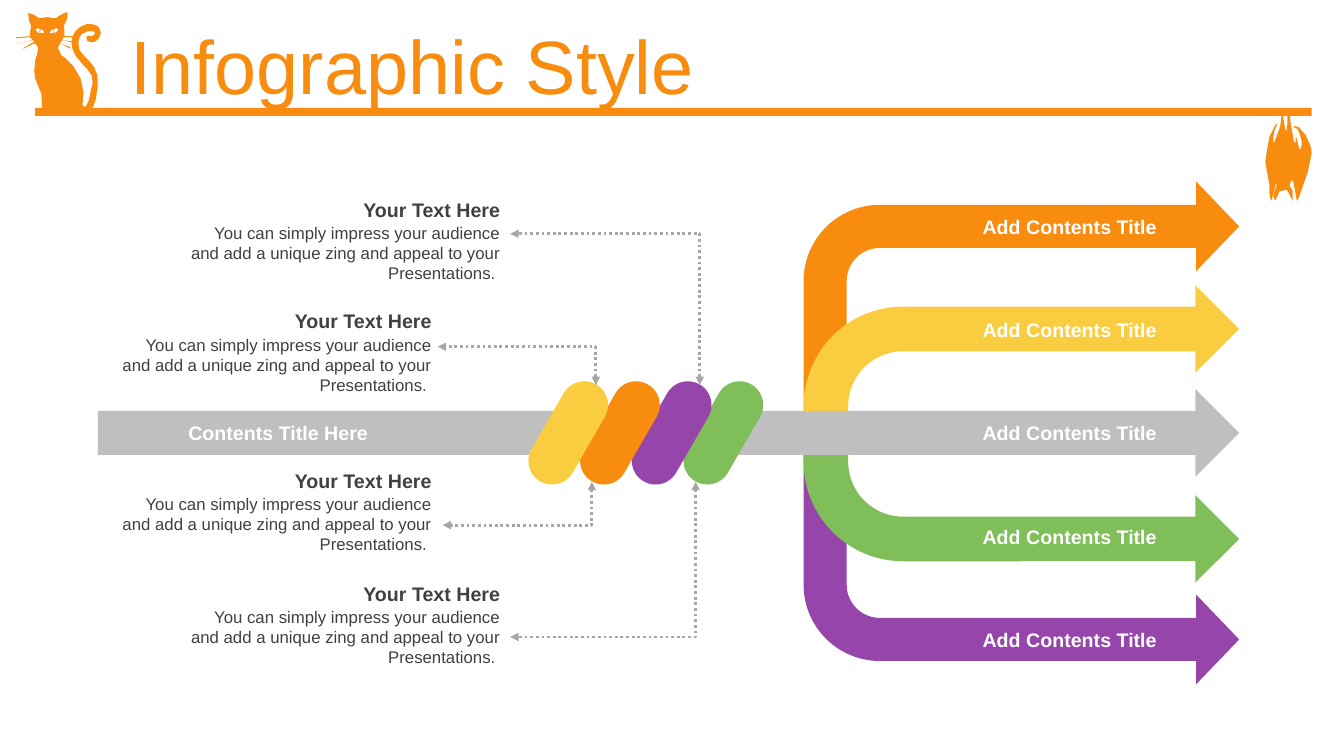
"""Build an infographic slide of branching arrows, linked pills and captions."""
from lxml import etree
from pptx import Presentation, util as u
from pptx.dml.color import RGBColor
from pptx.enum import dml, shapes, text
from pptx.oxml.ns import qn

ORANGE = RGBColor(0xF7, 0x8C, 0x0E)
YELLOW = RGBColor(0xF9, 0xCD, 0x3F)
GREEN = RGBColor(0x80, 0xBE, 0x5A)
PURPLE = RGBColor(0x96, 0x46, 0xAA)
SILVER = RGBColor(0xBF, 0xBF, 0xBF)
GRAY = RGBColor(0xA6, 0xA6, 0xA6)
DARK = RGBColor(0x40, 0x40, 0x40)
WHITE = RGBColor(0xFF, 0xFF, 0xFF)

CAT_BODY = [
    (62, 40), (60, 42), (60, 43), (70, 47), (70, 48), (69, 48), (60, 43), (58, 46),
    (58, 49), (61, 55), (64, 57), (73, 66), (80, 78), (83, 92), (82, 102), (82, 105),
    (85, 106), (86, 104), (88, 100), (92, 82), (91, 75), (87, 69), (83, 65), (75, 55),
    (72, 49), (71, 43), (71, 42)]
CAT_COLLAR = [(64, 37), (63, 37), (62, 39), (62, 40), (71, 41), (72, 37)]
CAT_LEFT_EYE = [(38, 28), (35, 29), (37, 32), (40, 33), (39, 31), (40, 29), (40, 33),
                (44, 33), (43, 30), (40, 29)]
CAT_RIGHT_EYE = [(56, 28), (53, 29), (50, 31), (49, 33), (53, 33), (53, 29), (54, 33),
                 (57, 31), (58, 29)]
CAT_OUTLINE = [
    (66, 12), (67, 13), (67, 18), (65, 22), (63, 26), (64, 29), (64, 36), (71, 36),
    (72, 36), (75, 31), (78, 28), (81, 26), (86, 24), (91, 24), (95, 25), (97, 26),
    (99, 29), (100, 33), (98, 38), (95, 41), (92, 42), (87, 41), (86, 39), (86, 36),
    (88, 36), (90, 36), (93, 35), (94, 34), (94, 32), (92, 31), (87, 31), (81, 34),
    (79, 37), (78, 40), (78, 45), (79, 50), (84, 56), (89, 61), (93, 66), (96, 73),
    (97, 79), (97, 86), (95, 99), (92, 107), (89, 111), (86, 113), (73, 115), (57, 115),
    (40, 114), (37, 112), (38, 109), (40, 108), (42, 107), (41, 93), (39, 88), (35, 78),
    (34, 70), (35, 60), (37, 53), (38, 48), (36, 44), (34, 43), (24, 48), (23, 48),
    (33, 42), (34, 41), (33, 40), (32, 40), (17, 43), (31, 40), (32, 39), (30, 37),
    (16, 38), (16, 37), (30, 36), (30, 31), (31, 26), (29, 21), (28, 13), (32, 14),
    (39, 18), (41, 18), (47, 17), (53, 18), (56, 18), (58, 16)]
BAT = [
    (1263, 142), (1264, 141), (1269, 128), (1270, 124), (1271, 115), (1271, 109),
    (1271, 108), (1274, 110), (1273, 111), (1273, 118), (1275, 129), (1276, 130),
    (1277, 122), (1277, 113), (1276, 108), (1278, 107), (1279, 110), (1280, 121),
    (1283, 138), (1284, 142), (1285, 141), (1285, 136), (1286, 137), (1288, 145),
    (1289, 148), (1290, 148), (1291, 144), (1291, 139), (1289, 133), (1287, 128),
    (1283, 126), (1283, 125), (1288, 126), (1295, 134), (1300, 145), (1301, 152),
    (1297, 171), (1289, 194), (1287, 199), (1286, 198), (1285, 192), (1283, 181),
    (1281, 178), (1279, 184), (1282, 189), (1282, 199), (1278, 191), (1276, 188),
    (1269, 190), (1265, 199), (1263, 195), (1264, 190), (1266, 185), (1266, 180),
    (1262, 196), (1261, 199), (1260, 197), (1259, 191), (1259, 183), (1255, 161),
    (1256, 153), (1259, 136), (1265, 124), (1267, 122), (1264, 130), (1263, 136)]


class Slide:
    def __init__(self, prs, font="Arial"):
        self.s = prs.slides.add_slide(prs.slide_layouts[6])
        self.font = font

    def paint(self, sp, color):
        sp.shadow.inherit = False
        sp.fill.solid()
        sp.fill.fore_color.rgb = color
        sp.line.fill.background()

    def shape(self, kind, x, y, w, h, color, adj=(), rotation=0, flip=False):
        sp = self.s.shapes.add_shape(kind, *map(u.Inches, (x, y, w, h)))
        self.paint(sp, color)
        for i, value in enumerate(adj):
            sp.adjustments[i] = value
        sp.rotation = rotation
        if flip:
            sp._element.spPr.find(qn("a:xfrm")).set("flipV", "1")

    def outline(self, contours, color):
        first, *others = contours
        builder = self.s.shapes.build_freeform(*first[0], scale=u.Inches(0.01))
        builder.add_line_segments(first[1:])
        for contour in others:
            builder.move_to(*contour[0])
            builder.add_line_segments(contour[1:])
        self.paint(builder.convert_to_shape(), color)

    def text(self, words, x, y, w, h, size, color, bold=False,
             align=text.PP_ALIGN.LEFT, anchor=text.MSO_ANCHOR.TOP, spacing=1.0):
        tf = self.s.shapes.add_textbox(*map(u.Inches, (x, y, w, h))).text_frame
        tf.word_wrap = True
        tf.auto_size = text.MSO_AUTO_SIZE.SHAPE_TO_FIT_TEXT
        tf.vertical_anchor = anchor
        p = tf.paragraphs[0]
        p.text = words
        p.alignment = align
        p.line_spacing = spacing
        p.font.name = self.font
        p.font.size = u.Pt(size)
        p.font.bold = bold
        p.font.color.rgb = color

    def elbow(self, x1, y1, x2, y2, color):
        """Run vertically from the start, then left to the end."""
        across, rise = x1 - x2, abs(y2 - y1)
        up = y2 < y1
        cx, cy = (x1 + x2) / 2, (y1 + y2) / 2
        top, bottom = cy - across / 2, cy + across / 2
        begin, end = (bottom, top) if up else (top, bottom)
        c = self.s.shapes.add_connector(
            shapes.MSO_CONNECTOR.ELBOW,
            *map(u.Inches, (cx - rise / 2, begin, cx + rise / 2, end)))
        c.line.color.rgb = color
        c.line.width = u.Pt(2)
        c.line.dash_style = dml.MSO_LINE.ROUND_DOT
        spPr = c._element.spPr
        spPr.find(qn("a:xfrm")).set("rot", str((270 if up else 90) * 60000))
        spPr.find(qn("a:prstGeom")).set("prst", "bentConnector2")
        for tag in ("a:headEnd", "a:tailEnd"):
            etree.SubElement(spPr.find(qn("a:ln")), qn(tag), type="triangle")
        etree.SubElement(spPr, qn("a:effectLst"))


def main():
    prs = Presentation()
    prs.slide_width, prs.slide_height = u.Inches(13.33), u.Inches(7.5)
    s = Slide(prs)
    kind, center, right = shapes.MSO_SHAPE, text.PP_ALIGN.CENTER, text.PP_ALIGN.RIGHT

    s.shape(kind.RECTANGLE, 0.35, 1.07, 12.66, 0.08, ORANGE)
    s.outline([CAT_OUTLINE, CAT_BODY, CAT_COLLAR, CAT_LEFT_EYE, CAT_RIGHT_EYE], ORANGE)
    s.outline([BAT], ORANGE)
    s.text("Infographic Style", 1.2, 0.23, 11.81, 0.92, 54, ORANGE,
           anchor=text.MSO_ANCHOR.MIDDLE, spacing=0.9)

    outer, inner = (0.185, 0.193, 0.185, 0.327), (0.343, 0.336, 0.337, 0.765)
    for y, h, color, adj, flip in (
            (1.8, 2.31, ORANGE, outer, False), (4.48, 2.31, PURPLE, outer, True),
            (2.83, 1.29, YELLOW, inner, False), (4.49, 1.29, GREEN, inner, True)):
        s.shape(kind.BENT_ARROW, 7.97, y, 4.32, h, color, adj, flip=flip)
    s.shape(kind.RIGHT_ARROW, 0.97, 3.86, 11.32, 0.87, SILVER)
    for i in range(5):
        s.text("Add Contents Title", 9.4, 2.08 + 1.025 * i, 2.42, 0.34, 14, WHITE,
               True, center)

    for i, color in enumerate((GREEN, PURPLE, ORANGE, YELLOW)):
        s.shape(kind.ROUNDED_RECTANGLE, 6.94 - 0.513 * i, 3.74, 0.47, 1.11, color,
                (0.5,), rotation=30)
    s.text("Contents Title Here", 1.24, 4.13, 3.04, 0.34, 14, WHITE, True, center)

    for x, y in ((1.72, 1.91), (1.04, 3.02), (1.04, 4.6), (1.72, 5.72)):
        s.text("You can simply impress your audience and add a unique zing and appeal "
               "to your Presentations. ", x, y + 0.25, 3.34, 0.71, 12, DARK, align=right)
        s.text("Your Text Here", x, y, 3.34, 0.34, 14, DARK, True, right)

    for ends in ((5.91, 3.82, 4.34, 3.44), (6.94, 3.82, 5.06, 2.32),
                 (5.87, 4.78, 4.39, 5.21), (6.9, 4.78, 5.06, 6.32)):
        s.elbow(*ends, GRAY)
    prs.save("out.pptx")


if __name__ == "__main__":
    main()
